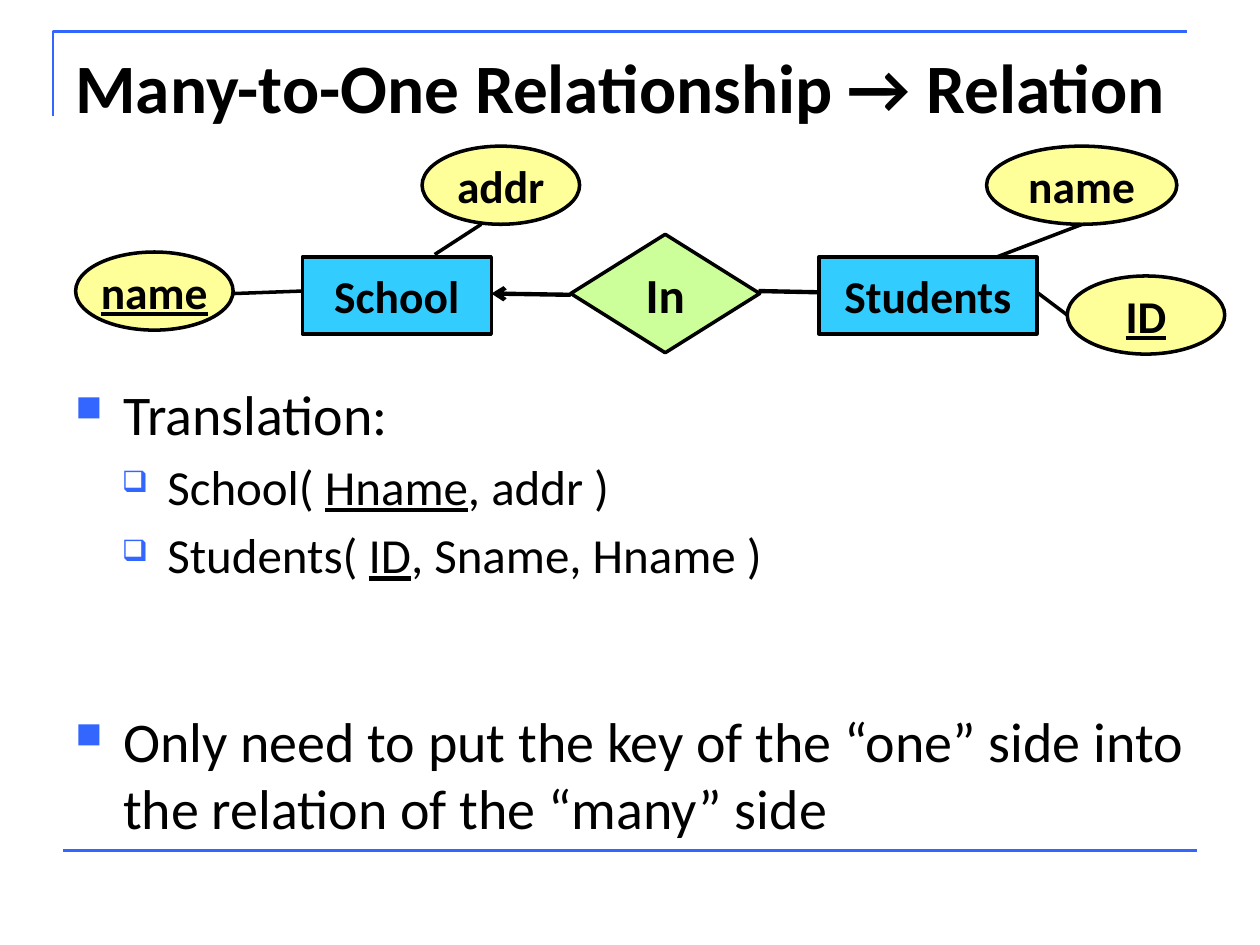
"""Build the slide on turning a many-to-one relationship into relations."""
from lxml import etree
from pptx import Presentation
from pptx.dml.color import RGBColor
from pptx.enum import shapes, text
from pptx.oxml import ns
from pptx.util import Inches, Pt

BLACK = RGBColor(0x00, 0x00, 0x00)
BLUE = RGBColor(0x33, 0x66, 0xFF)
CYAN = RGBColor(0x33, 0xCC, 0xFF)
YELLOW = RGBColor(0xFF, 0xFF, 0x99)
GREEN = RGBColor(0xCC, 0xFF, 0x99)
FONT = "Calibri"

TITLE = "Many-to-One Relationship → Relation"
KINDS = {
    "entity": (shapes.MSO_SHAPE.RECTANGLE, CYAN, 26),
    "attribute": (shapes.MSO_SHAPE.OVAL, YELLOW, 26),
    "key": (shapes.MSO_SHAPE.OVAL, YELLOW, 26),
    "relationship": (shapes.MSO_SHAPE.DIAMOND, GREEN, 28),
}
NODES = [
    ("entity", "Students", 6.5, 2.04, 1.73, 0.61),
    ("attribute", "name", 7.83, 1.16, 1.51, 0.62),
    ("key", "ID", 8.47, 2.19, 1.25, 0.62),
    ("entity", "School", 2.4, 2.04, 1.5, 0.61),
    ("key", "name", 0.6, 2, 1.25, 0.62),
    ("attribute", "addr", 3.35, 1.16, 1.25, 0.62),
    ("relationship", "In", 4.53, 1.86, 1.5, 0.94),
]
LINKS = [
    ((8.47, 2.5), (8.23, 2.32), 2, False),
    ((8.59, 1.78), (7.91, 2.04), 2, False),
    ((1.85, 2.33), (2.4, 2.31), 2, False),
    ((3.82, 1.78), (3.45, 2.02), 2, False),
    ((6.5, 2.32), (6.02, 2.31), 2.5, False),
    ((4.53, 2.34), (3.9, 2.33), 2.5, True),
]
LEVELS = [
    {"size": 32, "left": 0.38, "hang": 0.38, "mark": "■", "scale": 65},
    {"size": 28, "left": 0.73, "hang": 0.36, "mark": "❑", "scale": 60},
]
TRANSLATION = [
    (0, [("Translation:", False)]),
    (1, [("School( ", False), ("Hname", True), (", addr )", False)]),
    (1, [("Students( ", False), ("ID", True), (", Sname, Hname )", False)]),
]
CONCLUSION = [
    (0, [("Only need to put the key of the “one” side into the relation "
          "of the “many” side", False)]),
]


def style(span, size, bold=False, underline=False):
    font = span.font
    font.name, font.size, font.bold = FONT, Pt(size), bold
    font.color.rgb = BLACK
    if underline:
        font.underline = True


def add_child(parent, tag, **attributes):
    return etree.SubElement(parent, ns.qn(tag), attributes)


def add_line(page, start, end, color, width, arrow=False):
    line = page.shapes.add_connector(
        shapes.MSO_CONNECTOR.STRAIGHT, *map(Inches, start + end))
    line.line.color.rgb, line.line.width = color, Pt(width)
    if arrow:
        add_child(line.line._get_or_add_ln(), "a:tailEnd", type="arrow", w="med", len="med")
    add_child(line._element.spPr, "a:effectLst")


def add_node(page, kind, label, *place):
    preset, fill, size = KINDS[kind]
    node = page.shapes.add_shape(preset, *map(Inches, place))
    node.shadow.inherit = False
    node.fill.solid()
    node.fill.fore_color.rgb = fill
    node.line.color.rgb, node.line.width = BLACK, Pt(2)
    frame = node.text_frame
    frame.text, frame.word_wrap = label, False
    frame.vertical_anchor = text.MSO_ANCHOR.MIDDLE
    para = frame.paragraphs[0]
    para.alignment = text.PP_ALIGN.CENTER
    style(para.runs[0], size, True, kind == "key")


def add_frame(page, *place):
    frame = page.shapes.add_textbox(*map(Inches, place)).text_frame
    frame.word_wrap = True
    return frame


def add_bullets(page, items, *place):
    frame = add_frame(page, *place)
    for index, (depth, spans) in enumerate(items):
        level = LEVELS[depth]
        para = frame.add_paragraph() if index else frame.paragraphs[0]
        para.level = depth
        para.space_before = Pt(level["size"] * 0.2)
        props = para._p.get_or_add_pPr()
        props.set("marL", str(Inches(level["left"])))
        props.set("indent", str(-Inches(level["hang"])))
        add_child(add_child(props, "a:buClr"), "a:srgbClr", val=str(BLUE))
        add_child(props, "a:buSzPct", val=str(level["scale"] * 1000))
        add_child(props, "a:buChar", char=level["mark"])
        for words, underline in spans:
            span = para.add_run()
            span.text = words
            style(span, level["size"], underline=underline)


deck = Presentation()
deck.slide_width, deck.slide_height = Inches(10), Inches(7.5)
page = deck.slides.add_slide(deck.slide_layouts[6])

builder = page.shapes.build_freeform(Inches(0.42), Inches(0.92))
builder.add_line_segments(
    [(Inches(0.42), Inches(0.25)), (Inches(9.42), Inches(0.25))], close=False)
corner = builder.convert_to_shape()
corner.shadow.inherit = False
corner.fill.background()
corner.line.color.rgb, corner.line.width = BLUE, Pt(1.5)
add_line(page, (0.5, 6.75), (9.5, 6.75), BLUE, 1.5)

heading = add_frame(page, 0.5, 0.3, 9, 1.25)
heading.text = TITLE
style(heading.paragraphs[0].runs[0], 39.6, True)

add_bullets(page, CONCLUSION, 0.5, 5.56, 9, 1.14)
for node in NODES:
    add_node(page, *node)
for start, end, width, arrow in LINKS:
    add_line(page, start, end, BLACK, width, arrow)
add_bullets(page, TRANSLATION, 0.5, 2.96, 9, 1.81)

deck.save("out.pptx")
